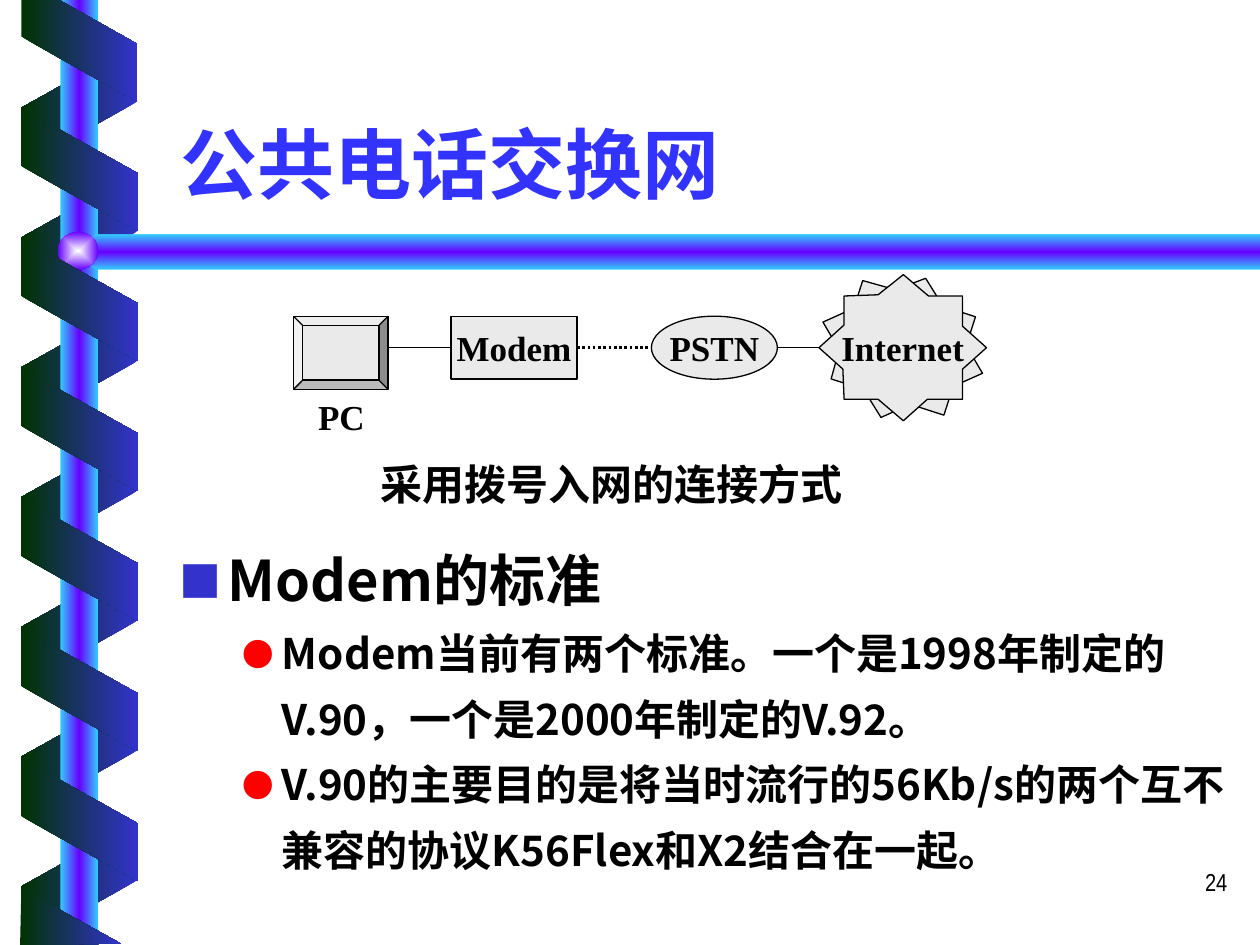
import pptx
import pptx.util
import pptx.dml.color
import pptx.enum.dml
import pptx.enum.shapes
import pptx.enum.text
import pptx.oxml
import pptx.oxml.ns
from lxml import etree

Inches, Pt = pptx.util.Inches, pptx.util.Pt
SHAPE = pptx.enum.shapes.MSO_SHAPE
ANCHOR = pptx.enum.text.MSO_ANCHOR
ALIGN = pptx.enum.text.PP_ALIGN
qn = pptx.oxml.ns.qn
NS = pptx.oxml.ns.nsdecls("a")
SANS, SERIF = "Noto Sans CJK SC", "Times New Roman"
CYAN, VIOLET, GREEN, BLUE = "33CCFF", "6600FF", "003300", "3333CC"


def paint(shape, colours, direction='<a:lin ang="0" scaled="0"/>', outline=None):
    """Fill with one colour or an evenly stepped gradient; outline is optional."""
    shape.shadow.inherit = False
    shape.fill.solid()
    shape.fill.fore_color.rgb = pptx.dml.color.RGBColor.from_string(colours[0])
    if outline:
        shape.line.color.rgb = pptx.dml.color.RGBColor.from_string(outline)
        shape.line.width = Pt(0.75)
    else:
        shape.line.fill.background()
    if len(colours) > 1:
        stops = "".join(
            f'<a:gs pos="{100000 * i // (len(colours) - 1)}"><a:srgbClr val="{c}"/></a:gs>'
            for i, c in enumerate(colours))
        gradient = pptx.oxml.parse_xml(
            f'<a:gradFill {NS} rotWithShape="0"><a:gsLst>{stops}</a:gsLst>{direction}</a:gradFill>')
        properties = shape._element.spPr
        properties.replace(properties.find(qn("a:solidFill")), gradient)


def write(paragraph, text, size, face, colour="000000", bold=True, align=ALIGN.LEFT):
    paragraph.alignment = align
    run = paragraph.add_run()
    run.text = text
    for name, value in {"size": Pt(size), "name": face, "bold": bold}.items():
        setattr(run.font, name, value)
    run.font.color.rgb = pptx.dml.color.RGBColor.from_string(colour)
    east_asian = etree.Element(qn("a:ea"), typeface=SANS)
    run.font._element.find(qn("a:latin")).addnext(east_asian)


presentation = pptx.Presentation()
presentation.slide_width, presentation.slide_height = Inches(10), Inches(7.5)
slide = presentation.slides.add_slide(presentation.slide_layouts[5])
shapes = slide.shapes

# Ribbon behind the pole
for i in range(7):
    back_turn = shapes.add_shape(SHAPE.PARALLELOGRAM, Inches(0.14), Inches(0.37 + 1.03 * i),
                                 Inches(0.98), Inches(0.92))
    back_turn.adjustments[0] = 0.56
    back_turn.rotation = 90
    back_turn._element.spPr.find(qn("a:xfrm")).set("flipH", "1")
    paint(back_turn, [BLUE, GREEN])

# Pole, crossbar and the ball that joins them
pole = shapes.add_shape(SHAPE.RECTANGLE, Inches(0.48), 0, Inches(0.3), Inches(7.5))
paint(pole, [CYAN, VIOLET, CYAN])
outline = shapes.build_freeform(Inches(10), Inches(1.86))
outline.add_line_segments([(Inches(x), Inches(y)) for x, y in
                           [(0.76, 1.86), (0.6, 2), (0.76, 2.14), (10, 2.14)]])
paint(outline.convert_to_shape(), [CYAN, VIOLET, CYAN], '<a:lin ang="5400000" scaled="0"/>')
ball = shapes.add_shape(SHAPE.OVAL, Inches(0.46), Inches(1.84), Inches(0.32), Inches(0.3))
paint(ball, ["FEFFFF", VIOLET],
      '<a:path path="rect"><a:fillToRect l="50000" t="50000" r="50000" b="50000"/></a:path>')

# Ribbon in front of the pole, cut off at the top and bottom edges
for i in range(6):
    front_turn = shapes.add_shape(SHAPE.PARALLELOGRAM, Inches(0.14), Inches(0.88 + 1.032 * i),
                                  Inches(0.98), Inches(0.93))
    front_turn.adjustments[0] = 0.56
    front_turn.rotation = 270
    paint(front_turn, [GREEN, BLUE])
for ribbon_end in ([(0.17, 0), (0.17, 0.29), (1.09, 0.81), (1.09, 0.35), (0.47, 0)],
                   [(0.96, 7.49), (0.17, 7.05), (0.16, 7.5)]):
    corners = [(Inches(x), Inches(y)) for x, y in ribbon_end]
    outline = shapes.build_freeform(*corners[0])
    outline.add_line_segments(corners[1:])
    paint(outline.convert_to_shape(), [GREEN, BLUE])

# Title
title = shapes.title
for name, value in {"left": 1.33, "top": 0.46, "width": 8.5, "height": 1.25}.items():
    setattr(title, name, Inches(value))
for name, value in {"vertical_anchor": ANCHOR.BOTTOM, "word_wrap": True,
                    "auto_size": pptx.enum.text.MSO_AUTO_SIZE.NONE}.items():
    setattr(title.text_frame, name, value)
write(title.text_frame.paragraphs[0], "公共电话交换网", 44, SANS, "3333FF")

# Devices along the dial-up route
pc = shapes.add_shape(SHAPE.BEVEL, Inches(2.33), Inches(2.51), Inches(0.75), Inches(0.58))
modem = shapes.add_shape(SHAPE.RECTANGLE, Inches(3.58), Inches(2.51), Inches(1), Inches(0.5))
pstn = shapes.add_shape(SHAPE.OVAL, Inches(5.17), Inches(2.51), Inches(1), Inches(0.5))

# Internet: the same eight-pointed star twice, the rear one turned
star_points = [(6.5, 2.76), (6.69, 2.93), (6.7, 3.17), (6.97, 3.17), (7.17, 3.34), (7.36, 3.17),
               (7.64, 3.17), (7.64, 2.93), (7.83, 2.76), (7.64, 2.59), (7.64, 2.35), (7.37, 2.35),
               (7.17, 2.18), (6.97, 2.34), (6.7, 2.35), (6.7, 2.58)]
corners = [(Inches(x), Inches(y)) for x, y in star_points]
stars = []
for turn in (17.8, 0):
    outline = shapes.build_freeform(*corners[0])
    outline.add_line_segments(corners[1:])
    star = outline.convert_to_shape()
    star.rotation = turn
    stars.append(star)

for device, label in ((pc, ""), (modem, "Modem"), (pstn, "PSTN"), (stars[0], ""),
                      (stars[1], "Internet")):
    paint(device, ["EAEAEA"], outline="000000")
    if label:
        device.text_frame.word_wrap = False
        device.text_frame.vertical_anchor = ANCHOR.MIDDLE
        write(device.text_frame.paragraphs[0], label, 20, SERIF, align=ALIGN.CENTER)

# Links between the devices
links = []
for start, end, weight in ((3.08, 3.58, 0.75), (4.58, 5.17, 1.5), (6.17, 6.5, 0.75)):
    link = shapes.add_connector(pptx.enum.shapes.MSO_CONNECTOR.STRAIGHT,
                                Inches(start), Inches(2.76), Inches(end), Inches(2.76))
    link.line.color.rgb = pptx.dml.color.RGBColor.from_string("000000")
    link.line.width = Pt(weight)
    etree.SubElement(link._element.spPr, qn("a:effectLst"))
    links.append(link)
links[0].end_connect(modem, 1)
links[1].begin_connect(modem, 3)
links[1].line.dash_style = pptx.enum.dml.MSO_LINE.ROUND_DOT

# PC label, caption and page number
for text, left, top, width, height, size, face, bold, align in (
        ("PC", 2.25, 3.09, 0.92, 0.44, 20, SERIF, True, ALIGN.CENTER),
        ("采用拨号入网的连接方式", 2.92, 3.59, 4.17, 0.5, 24, SERIF, True, ALIGN.LEFT),
        ("24", 7.76, 6.83, 2.08, 0.5, 14, "Arial Narrow", False, ALIGN.RIGHT)):
    note = shapes.add_textbox(Inches(left), Inches(top), Inches(width), Inches(height))
    note.text_frame.word_wrap = True
    write(note.text_frame.paragraphs[0], text, size, face, bold=bold, align=align)

# Modem standards
standards = shapes.add_textbox(Inches(1.33), Inches(4.28), Inches(8.5), Inches(2.85)).text_frame
standards.word_wrap = True
levels = [{"size": 32, "margin": 0.38, "hang": 0.38, "spacing": 1, "mark": "■", "colour": BLUE},
          {"size": 24, "margin": 0.81, "hang": 0.31, "spacing": 1.3, "mark": "●",
           "colour": "FF0000"}]
for i, (level, text) in enumerate((
        (0, "Modem的标准"),
        (1, "Modem当前有两个标准。一个是1998年制定的V.90，一个是2000年制定的V.92。"),
        (1, "V.90的主要目的是将当时流行的56Kb/s的两个互不兼容的协议K56Flex和X2结合在一起。"))):
    look = levels[level]
    paragraph = standards.add_paragraph() if i else standards.paragraphs[0]
    paragraph.level = level
    paragraph.line_spacing = look["spacing"]
    properties = paragraph._p.get_or_add_pPr()
    properties.set("marL", str(Inches(look["margin"])))
    properties.set("indent", str(-Inches(look["hang"])))
    for bullet in (f'<a:buClr {NS}><a:srgbClr val="{look["colour"]}"/></a:buClr>',
                   f'<a:buSzPct {NS} val="75000"/>',
                   f'<a:buFont {NS} typeface="{SANS}"/>',
                   f'<a:buChar {NS} char="{look["mark"]}"/>'):
        properties.append(pptx.oxml.parse_xml(bullet))
    write(paragraph, text, look["size"], SANS)

presentation.save("out.pptx")
